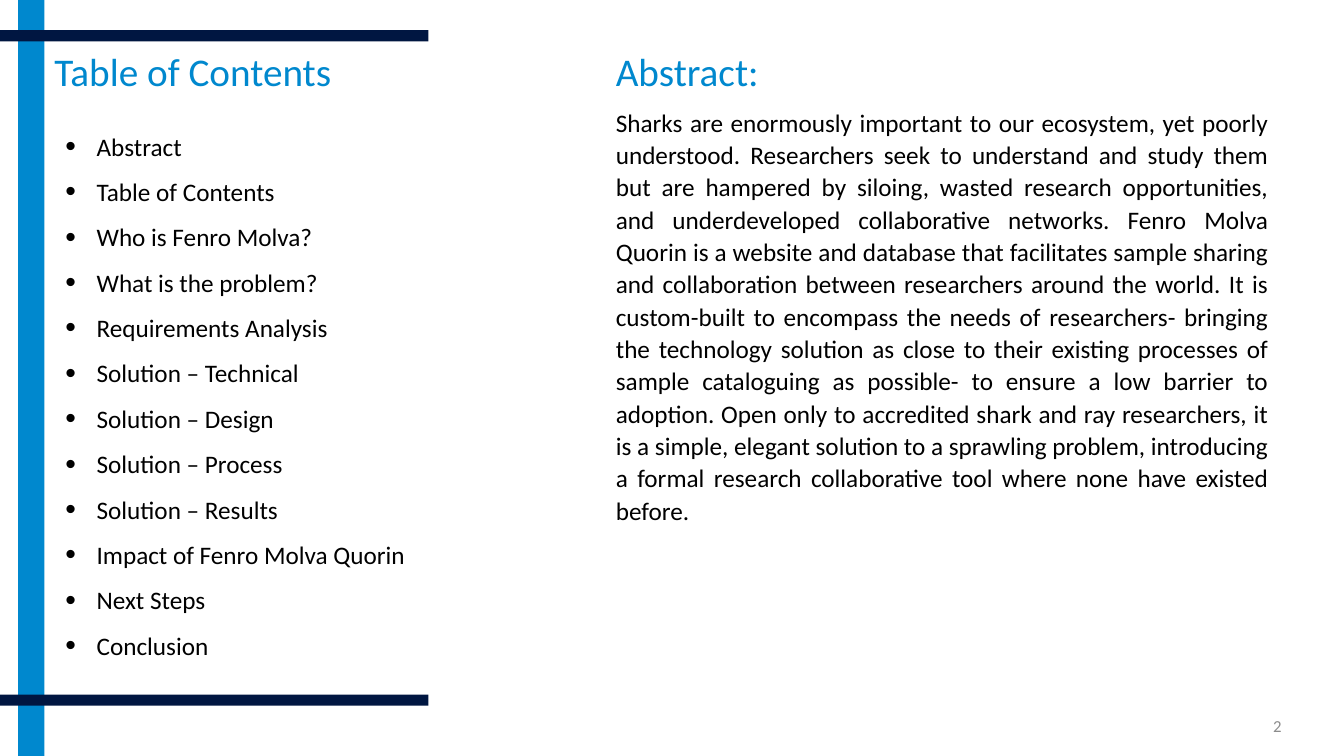
from dataclasses import dataclass

from lxml import etree
from pptx import Presentation
from pptx.dml.color import RGBColor
from pptx.enum.shapes import MSO_SHAPE
from pptx.enum.text import MSO_ANCHOR, MSO_AUTO_SIZE, PP_ALIGN
from pptx.oxml.ns import qn
from pptx.util import Inches, Pt

RECT = MSO_SHAPE.RECTANGLE
TOP, MIDDLE = MSO_ANCHOR.TOP, MSO_ANCHOR.MIDDLE
LEFT, RIGHT, JUSTIFY = PP_ALIGN.LEFT, PP_ALIGN.RIGHT, PP_ALIGN.JUSTIFY

# Content
TITLE = "Table of Contents"
CONTENTS = [
    "Abstract",
    "Table of Contents",
    "Who is Fenro Molva?",
    "What is the problem?",
    "Requirements Analysis",
    "Solution – Technical",
    "Solution – Design",
    "Solution – Process",
    "Solution – Results",
    "Impact of Fenro Molva Quorin",
    "Next Steps",
    "Conclusion",
]
ABSTRACT_HEADING = "Abstract:"
ABSTRACT = (
    "Sharks are enormously important to our ecosystem, yet poorly understood. "
    "Researchers seek to understand and study them but are hampered by siloing, "
    "wasted research opportunities, and underdeveloped collaborative networks. "
    "Fenro Molva Quorin is a website and database that facilitates sample sharing "
    "and collaboration between researchers around the world. It is custom-built to "
    "encompass the needs of researchers- bringing the technology solution as close "
    "to their existing processes of sample cataloguing as possible- to ensure a low "
    "barrier to adoption. Open only to accredited shark and ray researchers, it is a "
    "simple, elegant solution to a sprawling problem, introducing a formal research "
    "collaborative tool where none have existed before."
)
PAGE_NUMBER = "2"


@dataclass(frozen=True)
class Theme:
    font: str = "Calibri"
    blue: str = "0088CE"
    navy: str = "001641"
    text: str = "000000"
    muted: str = "8C8C8C"
    heading: int = 28
    body: int = 18
    small: int = 12


THEME = Theme()

# Layout, in inches
SLIDE_W, SLIDE_H = 13.33, 7.5
STRIPE_X, STRIPE_W = 0.18, 0.26
BAR_W, BAR_H = 4.25, 0.11
BAR_TOPS = (0.3, 6.89)
LEFT_COL, RIGHT_COL = STRIPE_X + STRIPE_W, 6.01
HEADING_Y, HEADING_H = 0.42, 0.57
ABSTRACT_Y = HEADING_Y + HEADING_H
BULLET_INDENT = 0.31

prs = Presentation()
prs.slide_width, prs.slide_height = Inches(SLIDE_W), Inches(SLIDE_H)
s = prs.slides.add_slide(prs.slide_layouts[5])


def add_bar(x, y, w, h, color):
    bar = s.shapes.add_shape(RECT, Inches(x), Inches(y), Inches(w), Inches(h))
    bar.shadow.inherit = False
    bar.fill.solid()
    bar.fill.fore_color.rgb = RGBColor.from_string(color)
    bar.line.fill.background()


def write(sp, text, size, color, align=LEFT, anchor=TOP, spacing=1.0, after=0):
    tf = sp.text_frame
    tf.word_wrap = True
    tf.auto_size = MSO_AUTO_SIZE.NONE
    tf.vertical_anchor = anchor
    tf.text = text
    for p in tf.paragraphs:
        p.alignment = align
        p.line_spacing = spacing
        p.space_after = Pt(after)
        for r in p.runs:
            r.font.name = THEME.font
            r.font.size = Pt(size)
            r.font.color.rgb = RGBColor.from_string(color)
    return tf


def add_text(x, y, w, h, *args, **options):
    sp = s.shapes.add_textbox(Inches(x), Inches(y), Inches(w), Inches(h))
    return write(sp, *args, **options)


def add_bullet(p):
    pPr = p._p.get_or_add_pPr()
    pPr.set("marL", str(Inches(BULLET_INDENT)))
    pPr.set("indent", str(-Inches(BULLET_INDENT)))
    etree.SubElement(pPr, qn("a:buSzPct")).set("val", "120000")
    etree.SubElement(pPr, qn("a:buFont")).set("typeface", "Arial")
    etree.SubElement(pPr, qn("a:buChar")).set("char", "•")


# Blue stripe and navy bars
add_bar(STRIPE_X, 0, STRIPE_W, SLIDE_H, THEME.blue)
for y in BAR_TOPS:
    add_bar(0, y, BAR_W, BAR_H, THEME.navy)

# Headings
title = s.shapes.title
title.left, title.top = Inches(LEFT_COL), Inches(HEADING_Y)
title.width, title.height = Inches(3.8), Inches(HEADING_H)
write(title, TITLE, THEME.heading, THEME.blue)
add_text(RIGHT_COL, HEADING_Y, 1.78, HEADING_H, ABSTRACT_HEADING,
         THEME.heading, THEME.blue)

# Contents list
tf = add_text(0.55, 1.1, 3.62, 5.51, "\n".join(CONTENTS),
              THEME.body, THEME.text, spacing=1.5)
for p in tf.paragraphs:
    add_bullet(p)

# Abstract
add_text(RIGHT_COL, ABSTRACT_Y, 6.67, 4.31, ABSTRACT, THEME.body, THEME.text,
         align=JUSTIFY, spacing=1.07, after=8)

# Page number
add_text(9.81, 7, 3, 0.4, PAGE_NUMBER, THEME.small, THEME.muted,
         align=RIGHT, anchor=MIDDLE)

prs.save("out.pptx")
